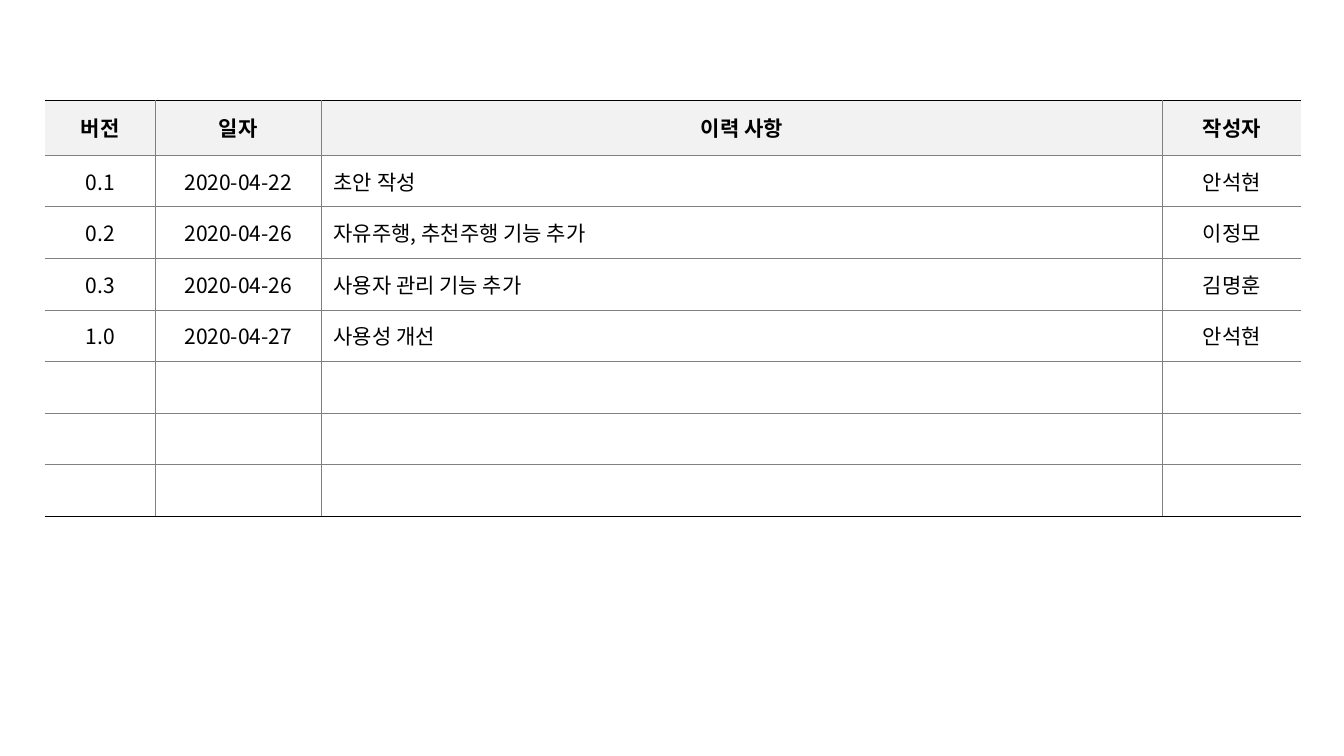
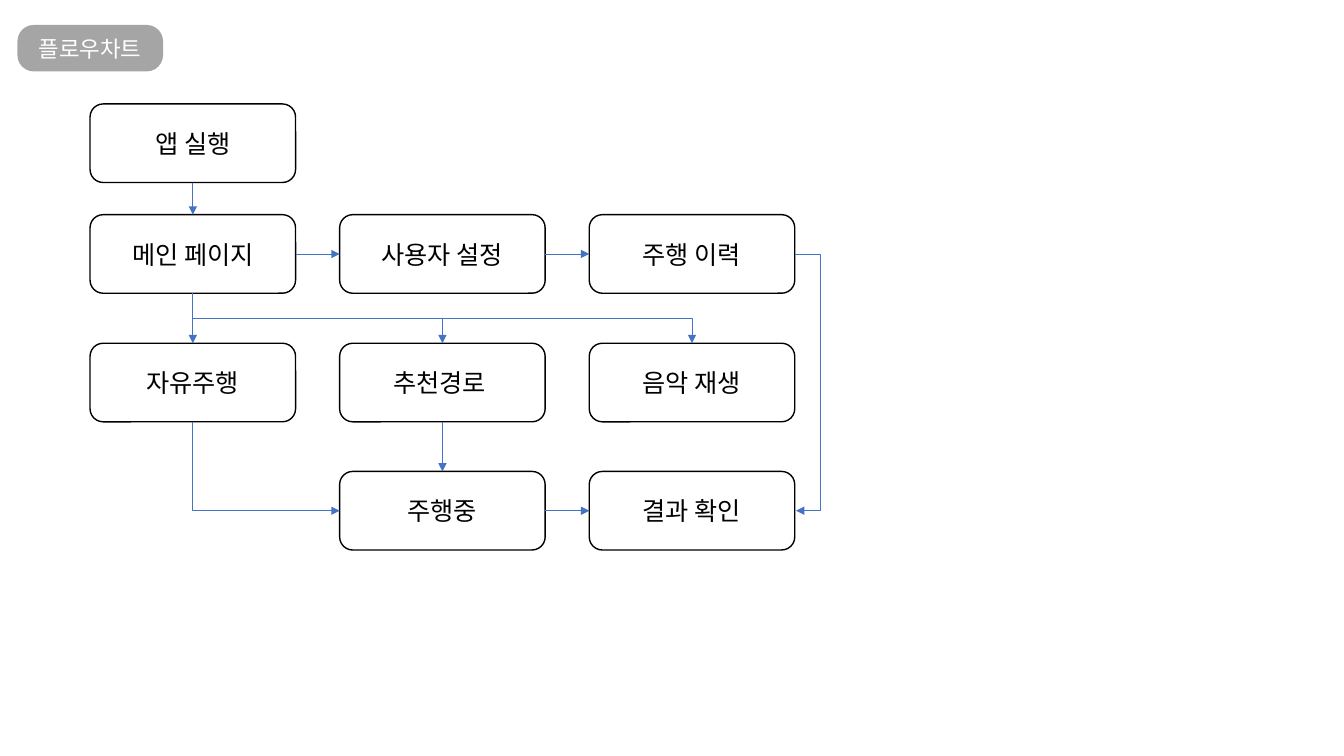
from dataclasses import dataclass
from typing import Optional

from lxml.etree import SubElement
from pptx import Presentation
from pptx.dml.color import RGBColor
from pptx.enum.shapes import MSO_CONNECTOR, MSO_SHAPE
from pptx.enum.text import MSO_ANCHOR, PP_ALIGN
from pptx.oxml.ns import qn
from pptx.util import Cm, Pt

# Shared style
FONT = "Noto Sans CJK KR"
BLACK, WHITE = "000000", "FFFFFF"
HEADER_FILL, GRID_LINE = "F2F2F2", "808080"
TAG_FILL, ARROW = "A5A5A5", "4472C4"


def color(value: str) -> RGBColor:
    return RGBColor.from_string(value)


def style_text(frame, text: str, size: float, ink: str = BLACK,
               bold: bool = False, align=PP_ALIGN.CENTER) -> None:
    frame.text = text
    para = frame.paragraphs[0]
    para.alignment = align
    for span in para.runs:
        span.font.name = FONT
        span.font.size = Pt(size)
        span.font.bold = bold
        span.font.color.rgb = color(ink)
        SubElement(span.font._element, qn("a:ea"), typeface=FONT)


# Revision table
COLUMN_WIDTHS = (2.79, 4.17, 21.21, 3.48)
HEADER_HEIGHT, ROW_HEIGHT = 1.39, 1.3
NOTE_COLUMN = 2
REVISIONS = (
    ("버전", "일자", "이력 사항", "작성자"),
    ("0.1", "2020-04-22", "초안 작성", "안석현"),
    ("0.2", "2020-04-26", "자유주행, 추천주행 기능 추가", "이정모"),
    ("0.3", "2020-04-26", "사용자 관리 기능 추가", "김명훈"),
    ("1.0", "2020-04-27", "사용성 개선", "안석현"),
    *[("",) * 4] * 3,
)


@dataclass(frozen=True)
class Border:
    color: str
    width: float


INNER, OUTER = Border(GRID_LINE, 0.5), Border(BLACK, 0.75)


def set_borders(cell, **borders: Optional[Border]) -> None:
    """Add borders in schema order: lnL, lnR, lnT, lnB."""
    properties = cell._tc.get_or_add_tcPr()
    for position, (tag, border) in enumerate(borders.items()):
        line = SubElement(properties, qn(f"a:{tag}"))
        properties.insert(position, line)
        if border is None:
            SubElement(line, qn("a:noFill"))
            continue
        line.set("w", str(Pt(border.width)))
        fill = SubElement(line, qn("a:solidFill"))
        SubElement(fill, qn("a:srgbClr"), val=border.color)


def draw_revisions(page) -> None:
    last_row, last_column = len(REVISIONS) - 1, len(COLUMN_WIDTHS) - 1
    heights = [HEADER_HEIGHT] + [ROW_HEIGHT] * last_row
    table = page.shapes.add_table(
        len(heights), len(COLUMN_WIDTHS), Cm(1.13), Cm(2.52),
        Cm(sum(COLUMN_WIDTHS)), Cm(sum(heights))).table
    table.first_row = table.horz_banding = False
    for column, width in zip(table.columns, COLUMN_WIDTHS):
        column.width = Cm(width)
    for row, height in zip(table.rows, heights):
        row.height = Cm(height)

    for r, texts in enumerate(REVISIONS):
        for c, text in enumerate(texts):
            cell = table.cell(r, c)
            header = r == 0
            cell.vertical_anchor = MSO_ANCHOR.MIDDLE
            cell.margin_left = cell.margin_right = Cm(0.32)
            cell.margin_top = cell.margin_bottom = Cm(0.16)
            if header:
                cell.fill.solid()
                cell.fill.fore_color.rgb = color(HEADER_FILL)
            else:
                cell.fill.background()
            left_aligned = c == NOTE_COLUMN and not header
            style_text(cell.text_frame, text, 15, bold=header,
                       align=PP_ALIGN.LEFT if left_aligned else PP_ALIGN.CENTER)
            set_borders(cell,
                        lnL=INNER if c > 0 else None,
                        lnR=INNER if c < last_column else None,
                        lnT=OUTER if header else INNER,
                        lnB=OUTER if r == last_row else INNER)


# Flowchart
GRID_LEFT, COLUMN_STEP = 2.27, 6.29
ROW_TOPS = (2.62, 5.41, 8.65, 11.88)
BOX_WIDTH, BOX_HEIGHT = 5.18, 1.98
TOP, LEFT, BOTTOM, RIGHT = range(4)


@dataclass(frozen=True)
class Step:
    text: str
    column: int
    row: int


@dataclass(frozen=True)
class Link:
    start: str
    start_site: int
    end: str
    end_site: int


STEPS = {
    "launch": Step("앱 실행", 0, 0),
    "main": Step("메인 페이지", 0, 1),
    "settings": Step("사용자 설정", 1, 1),
    "history": Step("주행 이력", 2, 1),
    "free": Step("자유주행", 0, 2),
    "route": Step("추천경로 ", 1, 2),
    "music": Step("음악 재생", 2, 2),
    "running": Step("주행중", 1, 3),
    "result": Step("결과 확인", 2, 3),
}
STRAIGHT_LINKS = (
    Link("launch", BOTTOM, "main", TOP),
    Link("main", RIGHT, "settings", LEFT),
    Link("settings", RIGHT, "history", LEFT),
    Link("main", BOTTOM, "free", TOP),
    Link("route", BOTTOM, "running", TOP),
    Link("running", RIGHT, "result", LEFT),
)
DOWNWARD_ELBOWS = (
    Link("main", BOTTOM, "route", TOP),
    Link("main", BOTTOM, "music", TOP),
    Link("free", BOTTOM, "running", LEFT),
)


def draw_round_box(page, text: str, left: float, top: float, width: float,
                   height: float, size: float, ink: str):
    box = page.shapes.add_shape(MSO_SHAPE.ROUNDED_RECTANGLE,
                                Cm(left), Cm(top), Cm(width), Cm(height))
    box.shadow.inherit = False
    box.fill.background()
    box.line.fill.background()
    box.text_frame.vertical_anchor = MSO_ANCHOR.MIDDLE
    style_text(box.text_frame, text, size, ink)
    return box


def draw_step(page, step: Step):
    box = draw_round_box(page, step.text, GRID_LEFT + step.column * COLUMN_STEP,
                         ROW_TOPS[step.row], BOX_WIDTH, BOX_HEIGHT, 18, BLACK)
    box.line.color.rgb = color(BLACK)
    box.line.width = Pt(1)
    return box


def site_point(box, site: int) -> tuple[int, int]:
    x = {LEFT: box.left, RIGHT: box.left + box.width}
    y = {TOP: box.top, BOTTOM: box.top + box.height}
    return (x.get(site, box.left + box.width // 2),
            y.get(site, box.top + box.height // 2))


def draw_arrow(page, kind, x1: int, y1: int, x2: int, y2: int):
    arrow = page.shapes.add_connector(kind, x1, y1, x2, y2)
    arrow.line.color.rgb = color(ARROW)
    arrow.line.width = Pt(0.5)
    SubElement(arrow.line._get_or_add_ln(), qn("a:tailEnd"), type="triangle")
    SubElement(arrow._element.spPr, qn("a:effectLst"))
    return arrow


def draw_straight(page, boxes: dict, link: Link) -> None:
    start, end = boxes[link.start], boxes[link.end]
    arrow = draw_arrow(page, MSO_CONNECTOR.STRAIGHT,
                       *site_point(start, link.start_site),
                       *site_point(end, link.end_site))
    arrow.begin_connect(start, link.start_site)
    arrow.end_connect(end, link.end_site)


def draw_downward_elbow(page, boxes: dict, link: Link) -> None:
    """Turn and mirror the elbow so that it leaves downwards."""
    x1, y1 = site_point(boxes[link.start], link.start_site)
    x2, y2 = site_point(boxes[link.end], link.end_site)
    across, down = x2 - x1, y2 - y1
    left = (x1 + x2 - down) // 2
    top = (y1 + y2 - across) // 2
    arrow = draw_arrow(page, MSO_CONNECTOR.ELBOW,
                       left, top, left + down, top + across)
    properties = arrow._element.spPr
    frame = properties.find(qn("a:xfrm"))
    frame.set("rot", str(270 * 60000))
    frame.set("flipH", "1")
    if link.end_site == LEFT:
        properties.find(qn("a:prstGeom")).set("prst", "bentConnector2")


def draw_side_loop(page, start, end) -> None:
    """Lead out of the right side of one box and back into another."""
    x1, y1 = site_point(start, RIGHT)
    x2, y2 = site_point(end, RIGHT)
    gap, reach = Cm(0.03), Cm(0.64)
    arrow = draw_arrow(page, MSO_CONNECTOR.ELBOW, x1, y1, x2 + gap, y2)
    geometry = arrow._element.spPr.find(qn("a:prstGeom"))
    guides = geometry.find(qn("a:avLst"))
    if guides is None:
        guides = SubElement(geometry, qn("a:avLst"))
    bend = round(reach / gap * 100000)
    SubElement(guides, qn("a:gd"), name="adj1", fmla=f"val {bend}")


def draw_flowchart(page) -> None:
    tag = draw_round_box(page, "플로우차트", 0.44, 0.63, 3.67, 1.17, 16, WHITE)
    tag.adjustments[0] = 0.35
    tag.fill.solid()
    tag.fill.fore_color.rgb = color(TAG_FILL)

    boxes = {name: draw_step(page, step) for name, step in STEPS.items()}
    for link in STRAIGHT_LINKS:
        draw_straight(page, boxes, link)
    for link in DOWNWARD_ELBOWS:
        draw_downward_elbow(page, boxes, link)
    draw_side_loop(page, boxes["history"], boxes["result"])


# Build the deck
deck = Presentation()
deck.slide_width, deck.slide_height = Cm(33.87), Cm(19.05)
for draw_page in (draw_revisions, draw_flowchart):
    draw_page(deck.slides.add_slide(deck.slide_layouts[6]))
deck.save("out.pptx")
